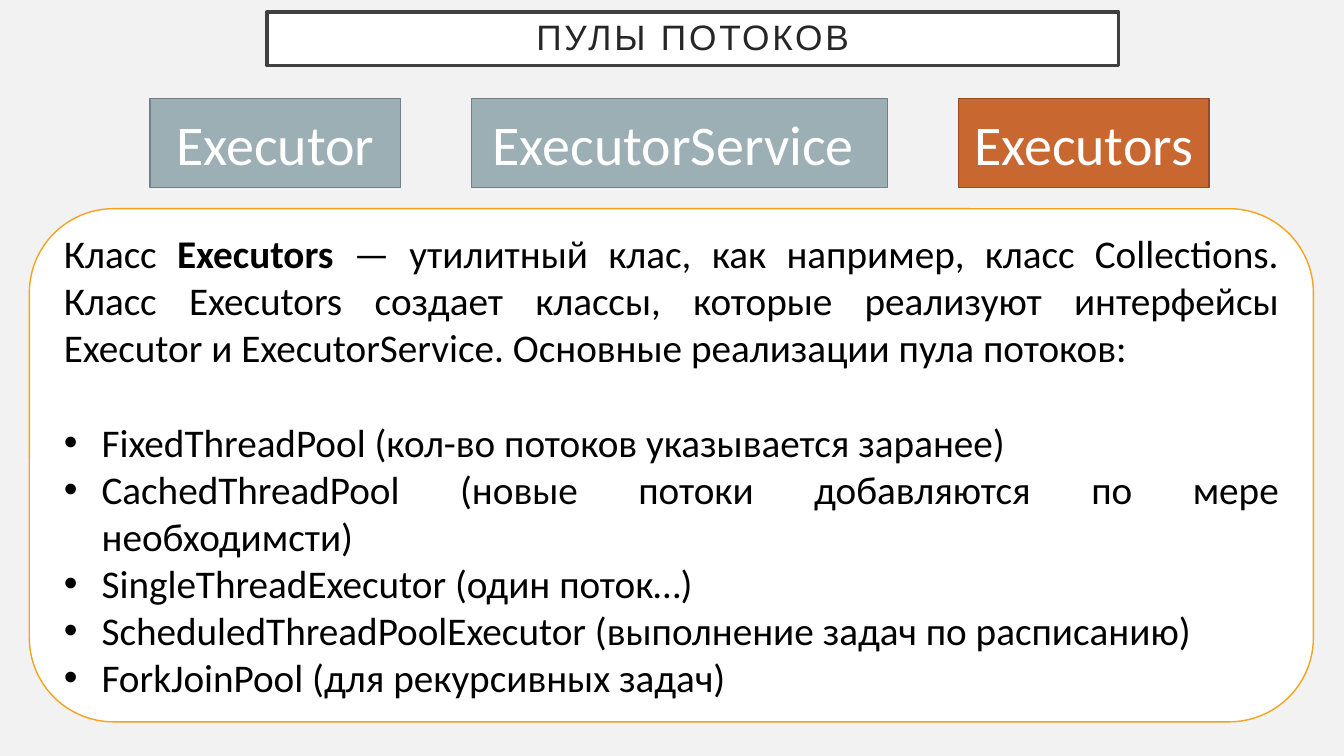
from lxml.etree import SubElement
from pptx import Presentation
from pptx.dml.color import RGBColor
from pptx.enum.shapes import MSO_SHAPE as Shape
from pptx.enum.text import MSO_ANCHOR as Anchor, PP_ALIGN as Align
from pptx.oxml.ns import qn
from pptx.util import Cm, Pt

BACKGROUND = RGBColor(0xF2, 0xF2, 0xF2)
WHITE = RGBColor(0xFF, 0xFF, 0xFF)
BLACK = RGBColor(0, 0, 0)
TITLE_TEXT = RGBColor(0x26, 0x26, 0x26)
TITLE_BORDER = RGBColor(0x40, 0x40, 0x40)
GREY_BLUE = RGBColor(0x9B, 0xAF, 0xB5)
GREY_BLUE_BORDER = RGBColor(0x73, 0x81, 0x86)
RUST = RGBColor(0xC9, 0x67, 0x31)
RUST_BORDER = RGBColor(0x95, 0x4C, 0x24)
AMBER = RGBColor(0xF6, 0xA2, 0x1D)

TYPES = [
    ("Executor", 6.32, GREY_BLUE, GREY_BLUE_BORDER),
    ("ExecutorService ", 10.49, GREY_BLUE, GREY_BLUE_BORDER),
    ("Executors", 6.32, RUST, RUST_BORDER),
]
INTRO = [
    ("Класс ", False),
    ("Executors", True),
    (" — утилитный клас, как например, класс Collections. "
     "Класс Executors создает классы, которые реализуют интерфейсы "
     "Executor и ExecutorService. Основные реализации пула потоков:", False),
]
POOLS = [
    "FixedThreadPool (кол-во потоков указывается заранее)",
    "CachedThreadPool (новые потоки добавляются по мере необходимсти)",
    "SingleThreadExecutor (один поток…)",
    "ScheduledThreadPoolExecutor (выполнение задач по расписанию)",
    "ForkJoinPool (для рекурсивных задач)",
]


def add_panel(slide, kind, left, top, width, height, fill, border, weight=1):
    panel = slide.shapes.add_shape(kind, Cm(left), Cm(top), Cm(width), Cm(height))
    panel.shadow.inherit = False
    panel.fill.solid()
    panel.fill.fore_color.rgb = fill
    panel.line.color.rgb = border
    panel.line.width = Pt(weight)
    panel.text_frame.word_wrap = True
    panel.text_frame.vertical_anchor = Anchor.MIDDLE
    return panel


def add_run(paragraph, text, size, color, font="Calibri", bold=False):
    run = paragraph.add_run()
    run.text = text
    run.font.name = font
    run.font.size = Pt(size)
    run.font.bold = bold
    run.font.color.rgb = color
    return run


def set_bullet(paragraph):
    properties = paragraph._p.get_or_add_pPr()
    properties.set("marL", str(Cm(0.95)))
    properties.set("indent", str(Cm(-0.95)))
    SubElement(properties, qn("a:buFont")).set("typeface", "Arial")
    SubElement(properties, qn("a:buChar")).set("char", "•")


def add_title(slide):
    title = add_panel(slide, Shape.RECTANGLE, 6.73, 0.3, 21.46, 1.35,
                      WHITE, TITLE_BORDER, 2.5)
    frame = title.text_frame
    frame.margin_left = frame.margin_right = Cm(0.5)
    frame.margin_top = frame.margin_bottom = Cm(0.5)
    heading = frame.paragraphs[0]
    heading.alignment = Align.CENTER
    heading.line_spacing = 0.9
    run = add_run(heading, "ПУЛЫ ПОТОКОВ", 25.2, TITLE_TEXT, "Arial")
    run.font._element.set("spc", "200")


def add_types(slide, left, gap):
    for name, width, fill, border in TYPES:
        box = add_panel(slide, Shape.RECTANGLE, left, 2.49, width, 2.24, fill, border)
        label = box.text_frame.paragraphs[0]
        label.alignment = Align.CENTER
        add_run(label, name, 40, WHITE)
        left += width + gap


def add_description(slide):
    card = add_panel(slide, Shape.ROUNDED_RECTANGLE, 0.74, 5.26, 32.36, 12.93,
                     WHITE, AMBER)
    card.adjustments[0] = 0.164
    frame = card.text_frame
    intro = frame.paragraphs[0]
    intro.alignment = Align.JUSTIFY
    for text, bold in INTRO:
        add_run(intro, text, 28, BLACK, bold=bold)
    for index, pool in enumerate(POOLS):
        item = frame.add_paragraph()
        item.alignment = Align.JUSTIFY
        item.space_before = Pt(0 if index else 34)
        set_bullet(item)
        add_run(item, pool, 28, BLACK)


def main():
    deck = Presentation()
    deck.slide_width, deck.slide_height = Cm(33.87), Cm(19.05)
    slide = deck.slides.add_slide(deck.slide_layouts[6])
    slide.background.fill.solid()
    slide.background.fill.fore_color.rgb = BACKGROUND
    add_title(slide)
    add_types(slide, left=3.78, gap=1.78)
    add_description(slide)
    deck.save("out.pptx")


if __name__ == "__main__":
    main()
